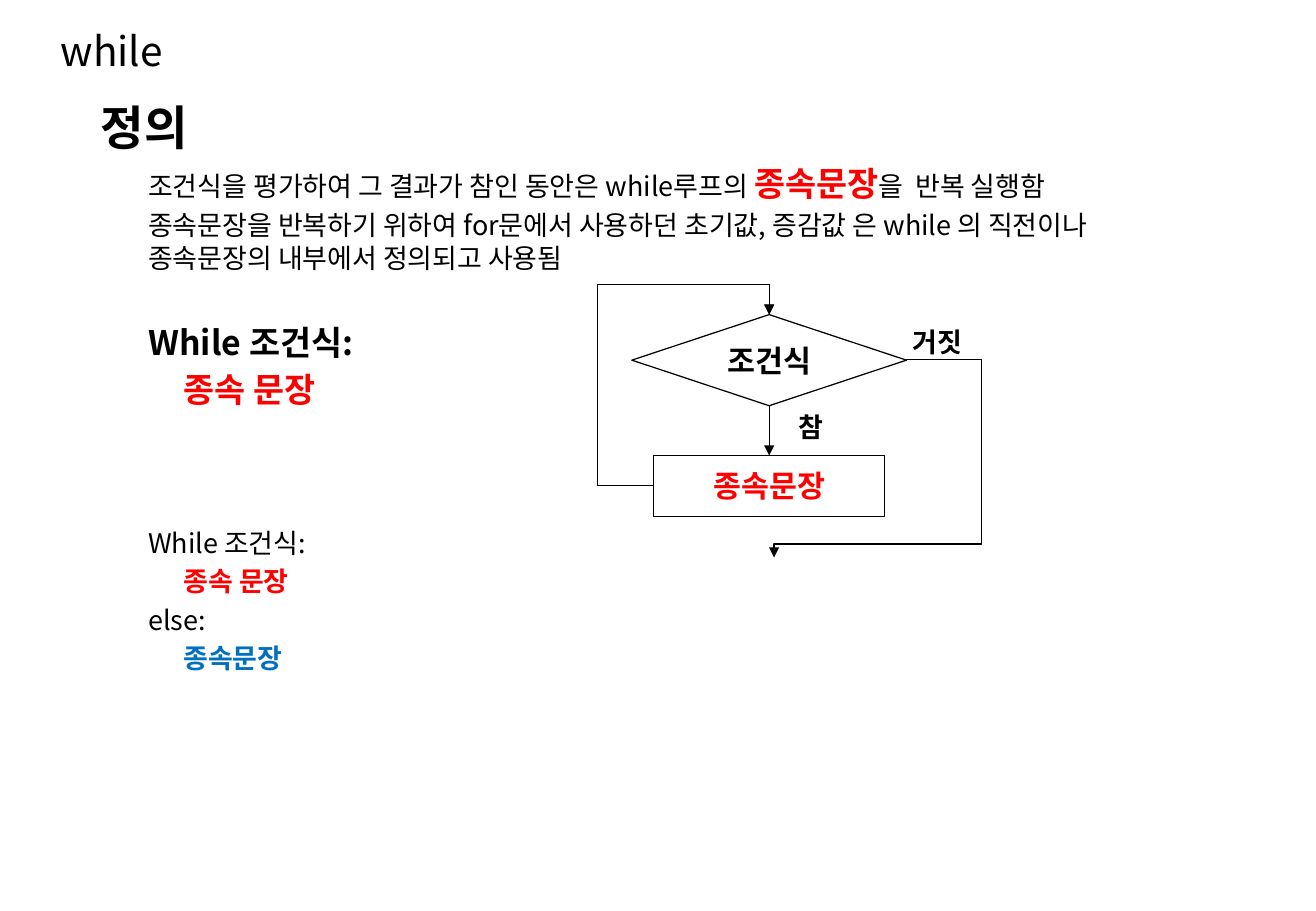
import pptx
import pptx.util
import pptx.dml.color
import pptx.enum.shapes
import pptx.enum.text
import pptx.oxml.ns
from lxml import etree
from pptx.util import Inches, Pt

COLORS = {"black": "000000", "red": "FF0000", "blue": "0070C0"}
BODY_FONT = "Noto Sans CJK KR"
FLOW_FONT = "DejaVu Sans"
SHAPES = pptx.enum.shapes.MSO_SHAPE
ALIGN = pptx.enum.text.PP_ALIGN
ANCHOR = pptx.enum.text.MSO_ANCHOR


def rgb(color):
    return pptx.dml.color.RGBColor.from_string(COLORS[color])


def add_child(parent, tag, **attributes):
    return etree.SubElement(parent, pptx.oxml.ns.qn(tag), **attributes)


def style_font(font, size, color, bold):
    font.size = Pt(size)
    font.bold = bold
    font.color.rgb = rgb(color)


def style_paragraph(para, size, color="black", bold=False, name=BODY_FONT):
    """Set the font for Latin and Korean text alike."""
    style_font(para.font, size, color, bold)
    para.font.name = name
    defaults = para._p.get_or_add_pPr().find(pptx.oxml.ns.qn("a:defRPr"))
    add_child(defaults, "a:ea", typeface=name)


def set_title(page, text):
    title = page.shapes.title
    title.left, title.top = Inches(0.4), Inches(0.14)
    title.width, title.height = Inches(6.26), Inches(0.54)
    title.text_frame.vertical_anchor = ANCHOR.MIDDLE
    para = title.text_frame.paragraphs[0]
    para.text = text
    para.alignment = ALIGN.LEFT
    style_paragraph(para, 24)


def add_text_block(page, top, height, lines):
    """Each line is (indent in inches, [(text, size, colour, bold), ...])."""
    box = page.shapes.add_textbox(Inches(0.83), Inches(top), Inches(9.13), Inches(height))
    frame = box.text_frame
    frame.word_wrap = True
    frame.margin_left = frame.margin_right = frame.margin_top = frame.margin_bottom = 0
    for index, (indent, spans) in enumerate(lines):
        para = frame.paragraphs[0] if index == 0 else frame.add_paragraph()
        size = max(span[1] for span in spans)
        para._p.get_or_add_pPr().set("marL", str(Inches(indent)))
        para.line_spacing = Pt(round(size * 1.22, 1))
        para.space_before = Pt(round(size * 0.2, 1))
        style_paragraph(para, *spans[0][1:])
        for text, *style in spans:
            span = para.add_run()
            span.text = text
            if len(spans) > 1:
                style_font(span.font, *style)


def write_centered(shape, text, size, color):
    frame = shape.text_frame
    frame.word_wrap = False
    para = frame.paragraphs[0]
    para.text = text
    para.alignment = ALIGN.CENTER
    style_paragraph(para, size, color, True, FLOW_FONT)


def add_flow_shape(page, kind, bounds, text, color):
    shape = page.shapes.add_shape(kind, *map(Inches, bounds))
    shape.shadow.inherit = False
    shape.fill.background()
    shape.line.color.rgb = rgb("black")
    shape.line.width = Pt(0.75)
    shape.text_frame.vertical_anchor = ANCHOR.MIDDLE
    write_centered(shape, text, 18, color)
    return shape


def add_label(page, bounds, text):
    write_centered(page.shapes.add_textbox(*map(Inches, bounds)), text, 16, "black")


def style_arrow(line):
    line.color.rgb = rgb("black")
    line.width = Pt(0.75)
    add_child(line._get_or_add_ln(), "a:tailEnd", type="triangle")


def add_arrow(page, start, end):
    arrow = page.shapes.add_connector(
        pptx.enum.shapes.MSO_CONNECTOR.STRAIGHT, *map(Inches, start + end))
    style_arrow(arrow.line)
    add_child(arrow._element.spPr, "a:effectLst")
    return arrow


def add_bent_arrow(page, points):
    start, *corners = [(Inches(x), Inches(y)) for x, y in points]
    builder = page.shapes.build_freeform(*start)
    builder.add_line_segments(corners, close=False)
    path = builder.convert_to_shape()
    path.shadow.inherit = False
    path.fill.background()
    style_arrow(path.line)


def add_flowchart(page):
    loop_body = add_flow_shape(
        page, SHAPES.FLOWCHART_PROCESS, (5.38, 3.75, 1.9, 0.5), "종속문장", "red")
    condition = add_flow_shape(
        page, SHAPES.FLOWCHART_DECISION, (5.2, 2.59, 2.26, 0.75), "조건식", "black")
    center = 6.33
    entry = add_arrow(page, (center, 2.34), (center, 2.59))
    entry.end_connect(condition, 0)
    true_branch = add_arrow(page, (center, 3.34), (center, 3.75))
    true_branch.begin_connect(condition, 2)
    true_branch.end_connect(loop_body, 0)
    add_bent_arrow(page, [(5.38, 4), (4.92, 4), (4.92, 2.34), (center, 2.34), (center, 2.59)])
    add_bent_arrow(page, [(7.46, 2.96), (8.08, 2.96), (8.08, 4.48), (6.37, 4.48), (6.37, 4.59)])
    add_label(page, (7.4, 2.63, 0.63, 0.37), "거짓")
    add_label(page, (6.46, 3.33, 0.42, 0.37), "참")


def main():
    deck = pptx.Presentation()
    deck.slide_width, deck.slide_height = Inches(10.83), Inches(7.5)
    page = deck.slides.add_slide(deck.slide_layouts.get_by_name("Title Only"))
    set_title(page, "while")
    text_left, code_left = 0.39, 0.68
    add_text_block(page, 0.8, 1.55, [
        (0, [("정의", 28, "black", True)]),
        (text_left, [
            ("조건식을 평가하여 그 결과가 참인 동안은 while루프의 ", 16, "black", False),
            ("종속문장", 20, "red", True),
            ("을  반복 실행함", 16, "black", False)]),
        (text_left, [("종속문장을 반복하기 위하여 for문에서 사용하던 초기값, 증감값 은 while 의 "
                      "직전이나 종속문장의 내부에서 정의되고 사용됨", 16, "black", False)]),
    ])
    add_text_block(page, 2.64, 0.8, [
        (text_left, [("While 조건식:", 20, "black", True)]),
        (code_left, [("종속 문장", 20, "red", True)]),
    ])
    add_text_block(page, 4.33, 1.26, [
        (text_left, [("While 조건식:", 16, "black", False)]),
        (code_left, [("종속 문장", 16, "red", True)]),
        (text_left, [("else:", 16, "black", False)]),
        (code_left, [("종속문장", 16, "blue", True)]),
    ])
    add_flowchart(page)
    deck.save("out.pptx")


if __name__ == "__main__":
    main()
